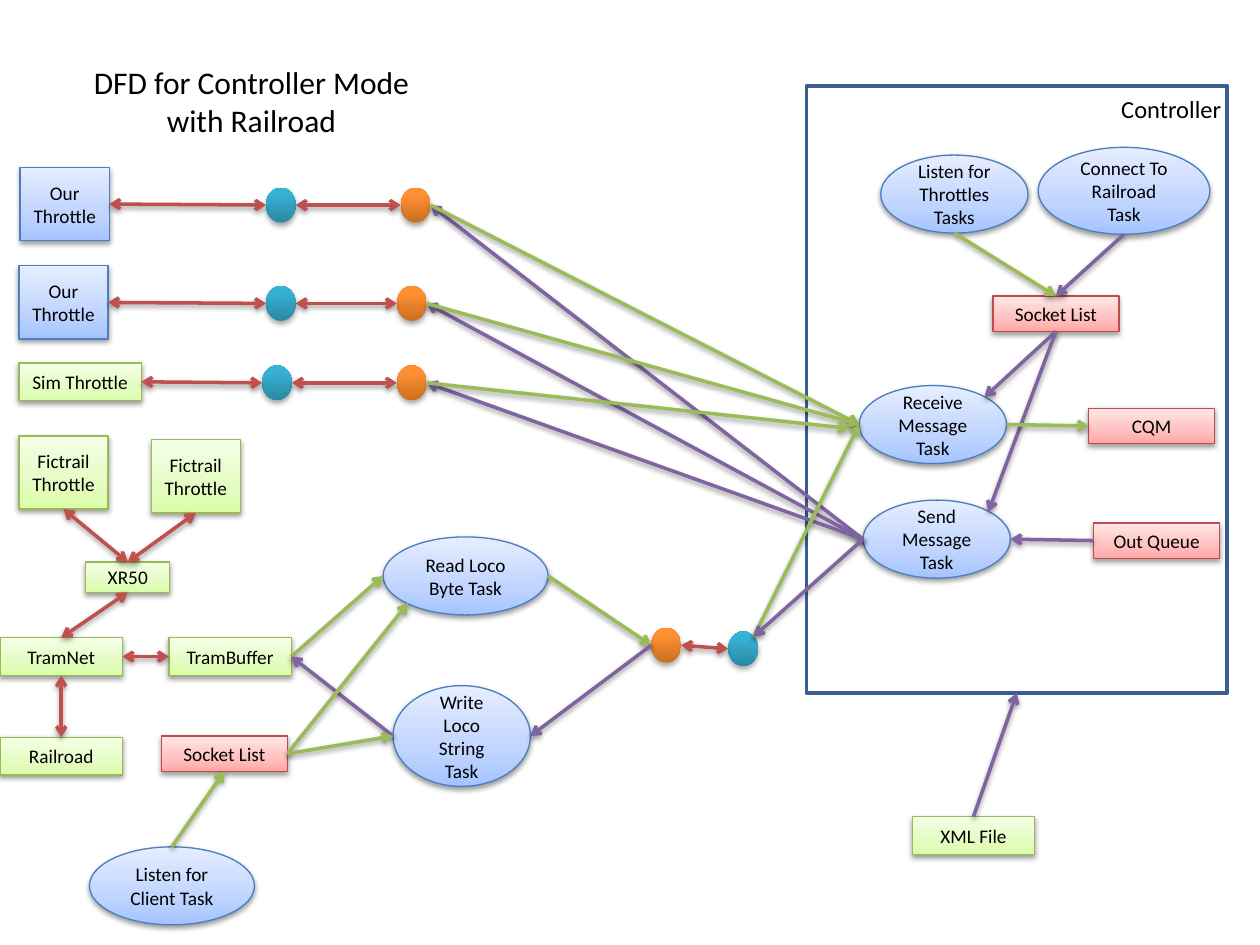
from dataclasses import dataclass

from lxml import etree
from pptx import Presentation
from pptx.dml import color as col
from pptx.enum import shapes, text
from pptx.oxml import ns
from pptx.util import Pt


@dataclass(frozen=True)
class Theme:
    font: str = "Calibri"
    title: int = 18
    label: int = 14
    body: int = 11
    ink: str = "000000"
    frame: str = "3A5F8C"
    # Link colours
    red: str = "C0504D"
    green: str = "9BBB59"
    purple: str = "8064A2"
    # Gradient stops (percent, colour), then the outline
    blue: tuple = (((0, "A4C4FF"), (35, "BFD4FF"), (100, "E6EEFF")), "4B7EBC")
    lime: tuple = (((0, "DAFDA7"), (35, "E4FCC2"), (100, "F5FFE7")), "98B955")
    pink: tuple = (((0, "FFA6A5"), (35, "FFC0BF"), (100, "FFE7E7")), "BF4C48")
    teal: tuple = (((0, "2A88A2"), (80, "37B1D2"), (100, "34B4D6")), None)
    orange: tuple = (((0, "CC6E20"), (80, "FF9034"), (100, "FF9136")), None)


T = Theme()
RECT = shapes.MSO_SHAPE.RECTANGLE
OVAL = shapes.MSO_SHAPE.FLOWCHART_CONNECTOR
MID = text.PP_ALIGN.CENTER

# Box sizes in points
UNIT = (51, 41.8)
BAR = (70, 21.6)
STORE = (72, 20.2)
TASK = (84.2, 44.6)
WIDE = (94.3, 44.6)
DOT = (17, 20)

# Where a link meets a shape, as shares of its width and height
SIDES = {"n": (0.5, 0), "s": (0.5, 1), "w": (0, 0.5), "e": (1, 0.5),
         "ne": (0.85, 0.15), "sw": (0.15, 0.85)}


def rgb(code):
    return col.RGBColor.from_string(code)


def add(parent, tag, **attrs):
    node = etree.SubElement(parent, ns.qn(tag))
    for key, value in attrs.items():
        node.set(key, str(value))
    return node


def shade(part, alpha=38, dist=1.6):
    effect = add(part._element.spPr, "a:effectLst")
    outer = add(effect, "a:outerShdw", blurRad=Pt(3.1), dist=Pt(dist),
                dir=5400000, rotWithShape=0)
    add(add(outer, "a:srgbClr", val="000000"), "a:alpha", val=alpha * 1000)


def write(frame, words, size, align):
    frame.text = words
    for para in frame.paragraphs:
        para.alignment = align
        para.font.size = Pt(size)
        para.font.name = T.font
        para.font.color.rgb = rgb(T.ink)


def node(slide, kind, look, spot, size, words=""):
    """Place a shaded shape with a gradient fill."""
    part = slide.shapes.add_shape(kind, *map(Pt, spot + size))
    stops, edge = look
    part.fill.gradient()
    part.fill.gradient_angle = 90
    ramp = part._element.spPr.find(".//" + ns.qn("a:gsLst"))
    for old in list(ramp):
        ramp.remove(old)
    for pos, code in stops:
        add(add(ramp, "a:gs", pos=pos * 1000), "a:srgbClr", val=code)
    if edge:
        part.line.color.rgb = rgb(edge)
        part.line.width = Pt(0.75)
        shade(part)
    else:
        part.line.fill.background()
        shade(part, 35, 1.8)
    if words:
        part.text_frame.vertical_anchor = text.MSO_ANCHOR.MIDDLE
        write(part.text_frame, words, T.body, MID)
    return part


def point(part, side):
    across, down = SIDES[side]
    return (int(part.left + across * part.width),
            int(part.top + down * part.height))


def link(slide, hue, start, end, both=False):
    """Draw an arrow; each end is a (shape, side) pair or a point in points."""
    ends = [tuple(map(Pt, e)) if isinstance(e[0], (int, float)) else point(*e)
            for e in (start, end)]
    line = slide.shapes.add_connector(
        shapes.MSO_CONNECTOR.STRAIGHT, *ends[0], *ends[1])
    line.line.color.rgb = rgb(hue)
    line.line.width = Pt(2)
    stroke = line._element.spPr.find(ns.qn("a:ln"))
    if both:
        add(stroke, "a:headEnd", type="arrow")
    add(stroke, "a:tailEnd", type="arrow")
    shade(line)


def heading(slide, left, top, width, height):
    title = slide.shapes.title
    title.left, title.top, title.width, title.height = map(
        Pt, (left, top, width, height))
    title.text_frame.word_wrap = False
    write(title.text_frame, "DFD for Controller Mode\nwith Railroad",
          T.title, MID)


def throttles(slide, left, top):
    """Rows of throttle and two sockets; return the outer sockets."""
    rows = [("Our\nThrottle", T.blue, UNIT, 0.7, 116.6, 152, 229),
            ("Our\nThrottle", T.blue, UNIT, 0, 172.8, 152, 226.8),
            ("Sim Throttle", T.lime, BAR, 0, 218.2, 149.8, 226.8)]
    outer = []
    for words, look, size, x, mid, near, far in rows:
        y = top + mid
        box = node(slide, RECT, look, (left + x, y - size[1] / 2), size, words)
        inn, out = [node(slide, OVAL, hue, (dx, y + 0.6 - DOT[1] / 2), DOT)
                    for dx, hue in ((near, T.teal), (far, T.orange))]
        link(slide, T.red, (box, "e"), (inn, "w"), True)
        link(slide, T.red, (inn, "e"), (out, "w"), True)
        outer.append(out)
    return outer


def railroad(slide, left, top):
    """Railroad hardware and its tasks; return the socket to the controller."""
    def put(kind, look, x, y, size, words=""):
        return node(slide, kind, look, (left + x, top + y), size, words)

    pair = [put(RECT, T.lime, x, y, UNIT, "Fictrail\nThrottle")
            for x, y in ((10.8, 0), (86.4, 2.2))]
    hub = put(RECT, T.lime, 49, 72.1, (48, 17.3), "XR50")
    net = put(RECT, T.lime, 0, 115.3, BAR, "TramNet")
    buf = put(RECT, T.lime, 96.5, 115.3, BAR, "TramBuffer")
    rail = put(RECT, T.lime, 0, 172.2, BAR, "Railroad")
    read = put(OVAL, T.blue, 218.9, 57.7, WIDE, "Read Loco Byte Task")
    send = put(OVAL, T.blue, 224.6, 142.7, (78.5, 57.6),
               "Write Loco String Task")
    near = put(OVAL, T.orange, 372.2, 109.6, DOT)
    far = put(OVAL, T.teal, 416.2, 111.7, DOT)
    store = put(RECT, T.pink, 92.2, 171.5, STORE, "Socket List")
    hear = put(OVAL, T.blue, 51.1, 234.8, WIDE, "Listen for Client Task")

    # Two-way links
    for a, s, b, e in [(pair[0], "s", hub, "n"), (hub, "n", pair[1], "s"),
                       (hub, "s", net, "n"), (net, "s", rail, "n"),
                       (net, "e", buf, "w"), (near, "e", far, "w")]:
        link(slide, T.red, (a, s), (b, e), True)
    # One-way links
    for hue, a, s, b, e in [(T.green, buf, "e", read, "w"),
                            (T.green, read, "e", near, "w"),
                            (T.purple, near, "w", send, "e"),
                            (T.purple, send, "w", buf, "e"),
                            (T.green, hear, "n", store, "s"),
                            (T.green, store, "e", read, "sw"),
                            (T.green, store, "e", send, "w")]:
        link(slide, hue, (a, s), (b, e))
    return far


def control(slide, left, top, width, height):
    """Controller frame, tasks and stores; return frame and message tasks."""
    def put(kind, look, x, y, size, words):
        return node(slide, kind, look, (left + x, top + y), size, words)

    get = put(OVAL, T.blue, 30.2, 171.3, TASK, "Receive\nMessage\nTask")
    send = put(OVAL, T.blue, 32.4, 236.8, TASK, "Send\nMessage\nTask")
    frame = slide.shapes.add_shape(RECT, *map(Pt, (left, top, width, height)))
    frame.fill.background()
    frame.line.color.rgb = rgb(T.frame)
    frame.line.width = Pt(2)
    frame.shadow.inherit = False
    label = slide.shapes.add_textbox(
        *map(Pt, (left + 172.8, top + 1.4, 72.7, 24.5)))
    label.text_frame.word_wrap = False
    write(label.text_frame, "Controller", T.label, text.PP_ALIGN.LEFT)

    hear = put(OVAL, T.blue, 42.5, 39.6, TASK, "Listen for Throttles Tasks")
    join = put(OVAL, T.blue, 132.5, 35.2, (98, 49.7),
               "Connect To Railroad Task")
    store = put(RECT, T.pink, 106.6, 120.2, STORE, "Socket List")
    queue = put(RECT, T.pink, 161.3, 184.3, STORE, "CQM")
    out = put(RECT, T.pink, 164.2, 249.8, STORE, "Out Queue")
    for hue, a, s, b, e in [(T.green, hear, "s", store, "n"),
                            (T.purple, join, "s", store, "n"),
                            (T.purple, store, "s", get, "ne"),
                            (T.purple, store, "s", send, "ne"),
                            (T.green, get, "e", queue, "w"),
                            (T.purple, out, "w", send, "e")]:
        link(slide, hue, (a, s), (b, e))
    return frame, get, send


def main():
    deck = Presentation()
    deck.slide_width, deck.slide_height = Pt(720), Pt(540)
    slide = deck.slides.add_slide(deck.slide_layouts[5])
    heading(slide, 45.4, 32.4, 196.6, 51)
    socks = throttles(slide, 10.8, 0)
    far = railroad(slide, 0, 249.1)
    frame, get, send = control(slide, 460.8, 49, 240.5, 347)

    # Links between the regions
    ends = [(get, "w"), (get, "w"), (485.3, 244.8)]
    for sock, end in zip(socks, ends):
        link(slide, T.purple, (send, "w"), (sock, "e"))
        link(slide, T.green, (sock, "e"), end)
    link(slide, T.green, (far, "ne"), (get, "w"))
    link(slide, T.purple, (send, "w"), (far, "ne"))

    # Settings file
    file = node(slide, RECT, T.lime, (521.3, 466.6), BAR, "XML File")
    link(slide, T.purple, (file, "n"), (frame, "s"))
    deck.save("out.pptx")


if __name__ == "__main__":
    main()
